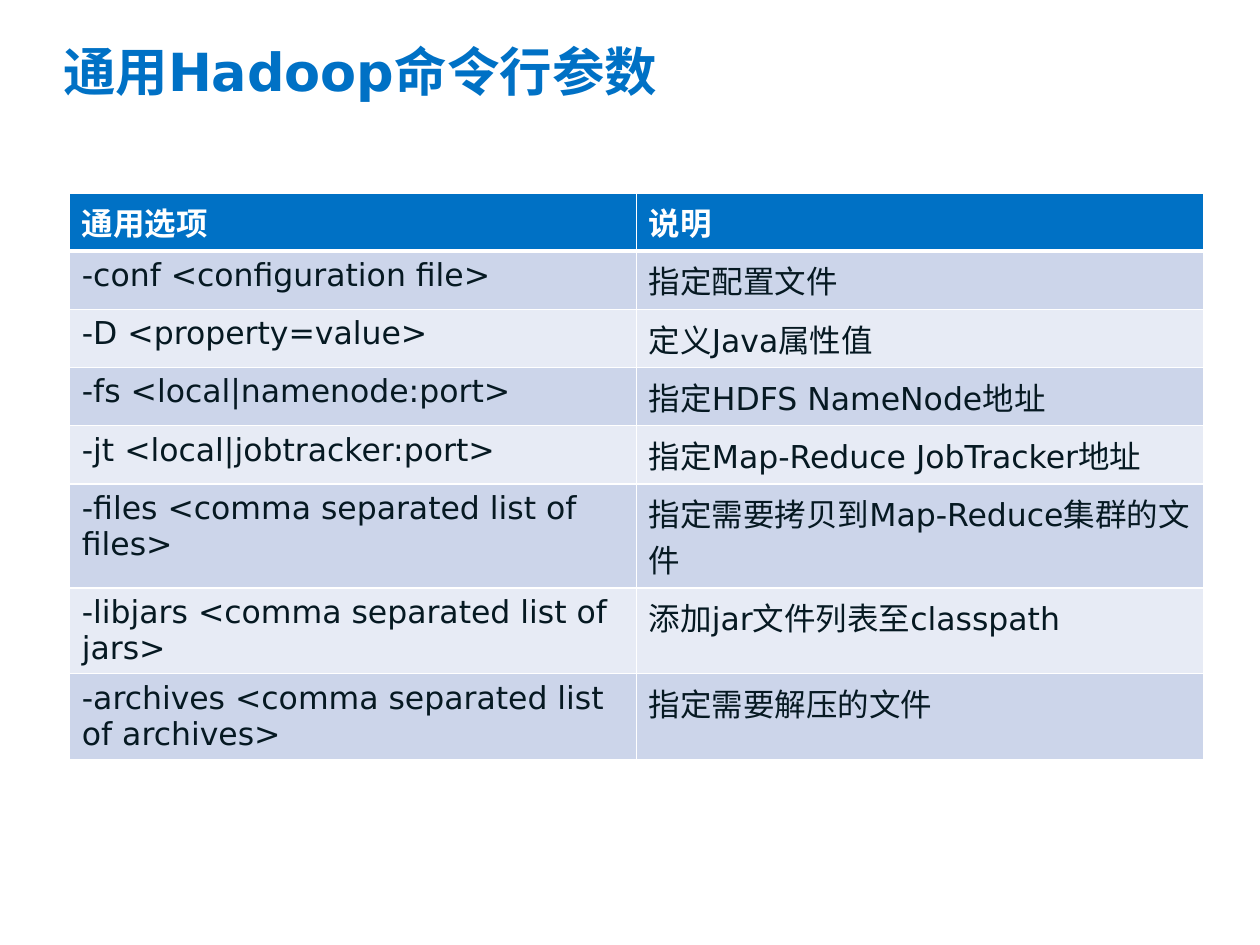
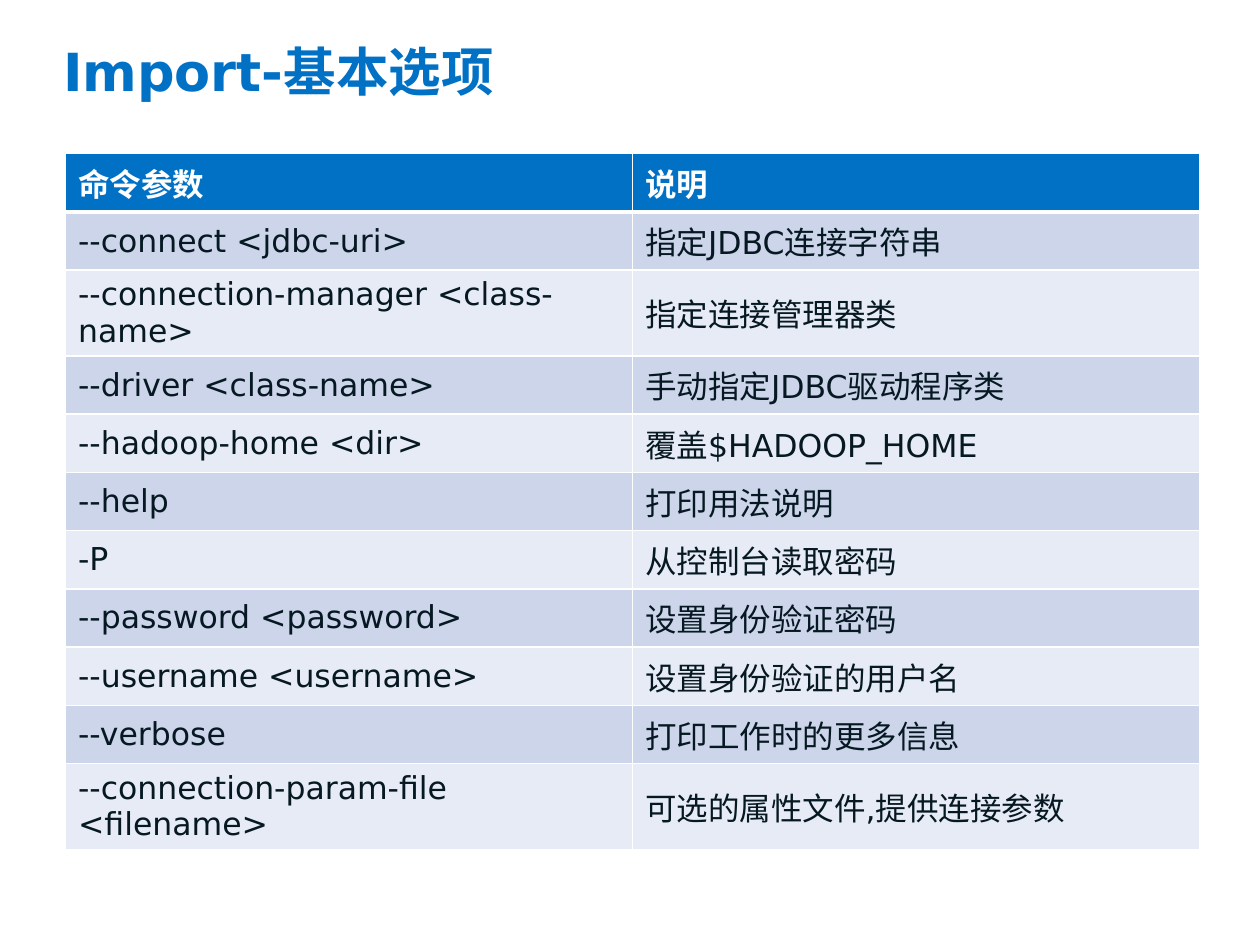
from lxml.etree import SubElement
from pptx import Presentation
from pptx.dml.color import RGBColor
from pptx.enum.text import MSO_ANCHOR as Anchor, PP_ALIGN as Align
from pptx.oxml.ns import qn
from pptx.util import Inches, Pt

COLORS = {
    "accent": "0071C5",
    "text": "061922",
    "odd_row": "CCD5EA",
    "even_row": "E7EBF5",
    "white": "FFFFFF",
}
FONT = "DejaVu Sans"
COLUMN_WIDTH = 4.5
ROW_HEIGHT = 0.41

PAGES = [
    {
        "title": "通用Hadoop命令行参数",
        "origin": (0.55, 1.53),
        "anchor": Anchor.TOP,
        "options": [
            ("通用选项", "说明"),
            ("-conf <configuration file>", "指定配置文件"),
            ("-D <property=value>", "定义Java属性值"),
            ("-fs <local|namenode:port>", "指定HDFS NameNode地址"),
            ("-jt <local|jobtracker:port>", "指定Map-Reduce JobTracker地址"),
            ("-files <comma separated list of files>", "指定需要拷贝到Map-Reduce集群的文件"),
            ("-libjars <comma separated list of jars>", "添加jar文件列表至classpath"),
            ("-archives <comma separated list of archives>", "指定需要解压的文件"),
        ],
    },
    {
        "title": "Import-基本选项",
        "origin": (0.52, 1.22),
        "anchor": Anchor.MIDDLE,
        "options": [
            ("命令参数", "说明"),
            ("--connect <jdbc-uri>", "指定JDBC连接字符串"),
            ("--connection-manager <class-name>", "指定连接管理器类"),
            ("--driver <class-name>", "手动指定JDBC驱动程序类"),
            ("--hadoop-home <dir>", "覆盖$HADOOP_HOME"),
            ("--help", "打印用法说明"),
            ("-P", "从控制台读取密码"),
            ("--password <password>", "设置身份验证密码"),
            ("--username <username>", "设置身份验证的用户名"),
            ("--verbose", "打印工作时的更多信息"),
            ("--connection-param-file <filename>", "可选的属性文件,提供连接参数"),
        ],
    },
]


def set_font(paragraph, size, color, bold):
    font = paragraph.font
    font.name = FONT
    font.size = Pt(size)
    font.bold = bold
    font.color.rgb = RGBColor.from_string(COLORS[color])


def add_title(slide, wording):
    title = slide.shapes.title
    title.left, title.top = Inches(0.5), Inches(0.45)
    title.width, title.height = Inches(9), Inches(0.97)
    frame = title.text_frame
    frame.text = wording
    frame.vertical_anchor = Anchor.TOP
    frame.margin_left = frame.margin_top = frame.margin_right = frame.margin_bottom = 0
    paragraph = frame.paragraphs[0]
    paragraph.alignment = Align.LEFT
    paragraph.line_spacing = Pt(26)
    set_font(paragraph, 30, "accent", True)


def set_borders(cell, top, bottom):
    properties = cell._tc.get_or_add_tcPr()
    widths = {"a:lnL": 1, "a:lnR": 1, "a:lnT": top, "a:lnB": bottom}
    for position, (side, width) in enumerate(widths.items()):
        line = SubElement(properties, qn(side), w=str(Pt(width)))
        fill = SubElement(line, qn("a:solidFill"))
        SubElement(fill, qn("a:srgbClr"), val=COLORS["white"])
        properties.insert(position, line)


def row_fill(row):
    if row == 0:
        return "accent"
    return "odd_row" if row % 2 else "even_row"


def add_options(slide, options, origin, anchor):
    left, top = origin
    columns = len(options[0])
    table = slide.shapes.add_table(
        len(options), columns, Inches(left), Inches(top),
        Inches(COLUMN_WIDTH * columns), Inches(ROW_HEIGHT * len(options)),
    ).table
    for row, wordings in enumerate(options):
        header = row == 0
        for column, wording in enumerate(wordings):
            cell = table.cell(row, column)
            cell.text = wording
            cell.vertical_anchor = Anchor.TOP if header else anchor
            cell.fill.solid()
            cell.fill.fore_color.rgb = RGBColor.from_string(COLORS[row_fill(row)])
            set_font(cell.text_frame.paragraphs[0], 18, "white" if header else "text", header)
            set_borders(cell, top=3 if row == 1 else 1, bottom=3 if header else 1)


def main():
    deck = Presentation()
    deck.slide_width, deck.slide_height = Inches(10), Inches(7.5)
    title_only = deck.slide_layouts[5]
    for page in PAGES:
        slide = deck.slides.add_slide(title_only)
        add_title(slide, page["title"])
        add_options(slide, page["options"], page["origin"], page["anchor"])
    deck.save("out.pptx")


if __name__ == "__main__":
    main()
